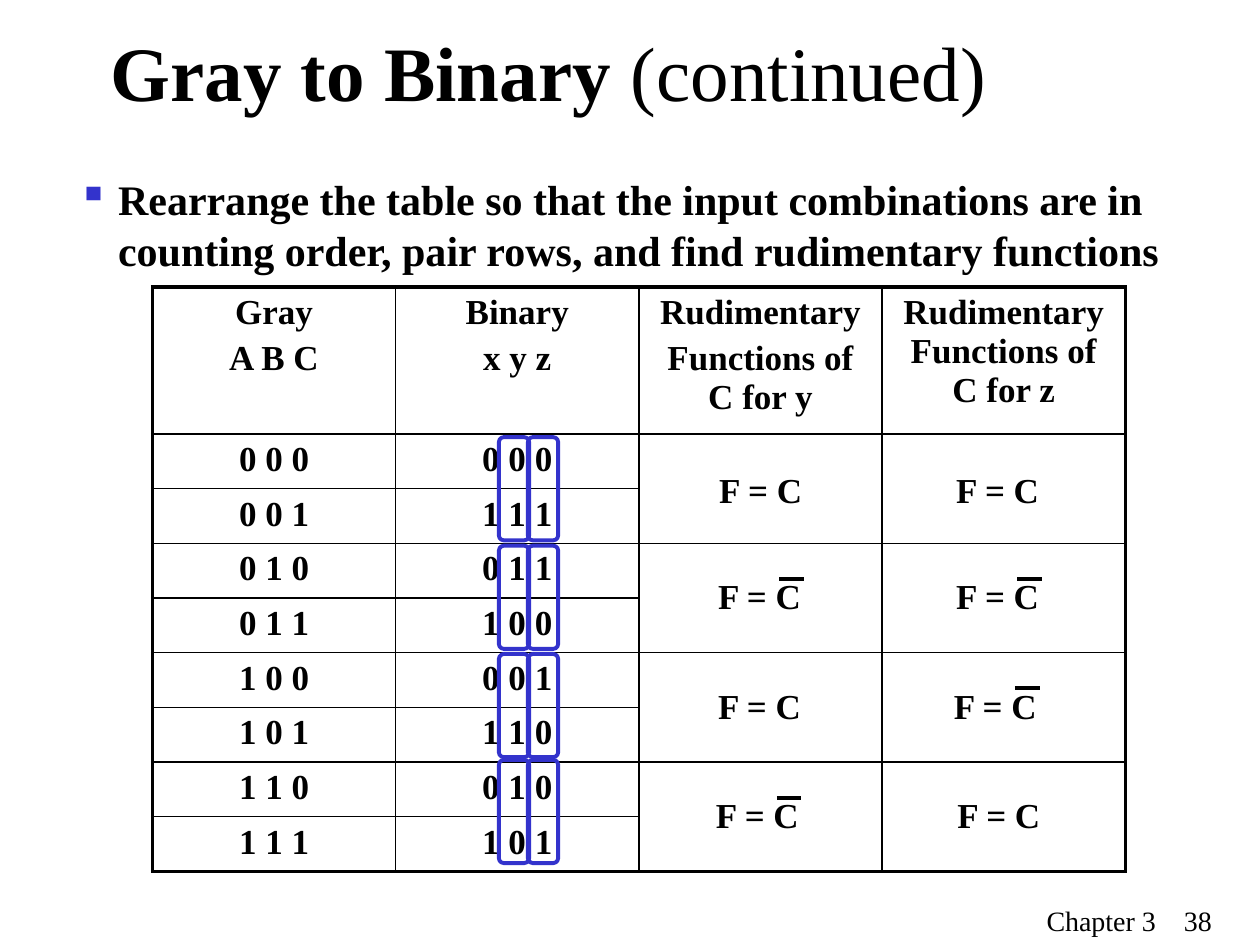
"""Build the Gray to Binary slide with its paired truth table and rudimentary functions."""
from dataclasses import dataclass

from lxml import etree
from pptx import Presentation
from pptx import util as u
from pptx.dml.color import RGBColor
from pptx.enum import shapes, text
from pptx.oxml import ns

COLORS = {"ink": "000000", "accent": "3333CC"}
FONT = "Times New Roman"
THICK, THIN = 2.25, 1
TABLE_LEFT, TABLE_TOP, COLUMN_WIDTH = 87.1, 164, 139
HEADER_HEIGHT, ROW_HEIGHT = 84, 31.23
PAIR_TOPS = (249.8, 311.8, 373.7, 434.2)
FRAME_LEFTS = {"y": 285.1, "z": 301.7}
FRAME_WIDTH, FRAME_HEIGHT = 17.3, 59

HEADERS = (
    ("Gray", "A B C"),
    ("Binary", "x y z"),
    ("Rudimentary", "Functions of C for y"),
    ("Rudimentary Functions of C for z",),
)
BINARY = ("0 0 0", "1 1 1", "0 1 1", "1 0 0", "0 0 1", "1 1 0", "0 1 0", "1 0 1")


@dataclass(frozen=True)
class PairFunction:
    """A framed pair of output bits and the function of C that it gives."""

    output: str
    pair: int
    left: float
    top: float
    inverted: bool = False


FUNCTIONS = (
    PairFunction("y", 0, 403.9, 264.2),
    PairFunction("y", 1, 403.2, 324.9, inverted=True),
    PairFunction("z", 0, 539.3, 264.2),
    PairFunction("z", 1, 539.3, 324.9, inverted=True),
    PairFunction("y", 2, 403.2, 387.4),
    PairFunction("z", 3, 540, 450),
    PairFunction("y", 3, 402, 450, inverted=True),
    PairFunction("z", 2, 538, 387.4, inverted=True),
)


def color(name: str) -> RGBColor:
    """Return a named colour."""
    return RGBColor.from_string(COLORS[name])


def add_span(para, content: str, *, size: float = 20, bold: bool = True) -> None:
    """Append a formatted run to a paragraph."""
    span = para.add_run()
    span.text = content
    span.font.name = FONT
    span.font.size = u.Pt(size)
    span.font.bold = bold
    span.font.color.rgb = color("ink")


def add_text(parent, content: str, *, left: float, top: float, width: float,
             height: float, size: float = 20, bold: bool = True,
             anchor=text.MSO_ANCHOR.TOP):
    """Add a wrapping text box and return its paragraph."""
    box = parent.add_textbox(u.Pt(left), u.Pt(top), u.Pt(width), u.Pt(height))
    box.text_frame.word_wrap = True
    box.text_frame.vertical_anchor = anchor
    para = box.text_frame.paragraphs[0]
    add_span(para, content, size=size, bold=bold)
    return para


def add_bullet(para, symbol: str, indent: float) -> None:
    """Give a paragraph a coloured bullet and a hanging indent."""
    props = para._p.get_or_add_pPr()
    props.set("marL", str(u.Pt(indent)))
    props.set("indent", str(-u.Pt(indent)))
    tint = etree.SubElement(props, ns.qn("a:buClr"))
    etree.SubElement(tint, ns.qn("a:srgbClr"), val=COLORS["accent"])
    etree.SubElement(props, ns.qn("a:buChar"), char=symbol)


def set_borders(cell, **widths: float) -> None:
    """Set the cell borders, given in the order L, R, T, B."""
    props = cell._tc.get_or_add_tcPr()
    for index, (side, width) in enumerate(widths.items()):
        line = etree.Element(ns.qn(f"a:ln{side}"), w=str(u.Pt(width)))
        fill = etree.SubElement(line, ns.qn("a:solidFill"))
        etree.SubElement(fill, ns.qn("a:srgbClr"), val=COLORS["ink"])
        props.insert(index, line)


def fill_cell(cell, lines: tuple[str, ...]) -> None:
    """Write centred paragraphs into a cell."""
    for index, content in enumerate(lines):
        frame = cell.text_frame
        para = frame.add_paragraph() if index else frame.paragraphs[0]
        para.alignment = text.PP_ALIGN.CENTER
        para.space_before = u.Pt(4 if index else 0)
        add_span(para, content)


def add_truth_table(page) -> None:
    """Add the table with counting-order inputs and merged function cells."""
    last_row, last_column = len(BINARY), len(HEADERS) - 1
    table = page.shapes.add_table(
        last_row + 1, last_column + 1, u.Pt(TABLE_LEFT), u.Pt(TABLE_TOP),
        u.Pt(COLUMN_WIDTH * len(HEADERS)),
        u.Pt(HEADER_HEIGHT + ROW_HEIGHT * last_row)).table
    table.first_row = table.horz_banding = False
    for column in table.columns:
        column.width = u.Pt(COLUMN_WIDTH)
    for index, row in enumerate(table.rows):
        row.height = u.Pt(ROW_HEIGHT if index else HEADER_HEIGHT)
        for position, cell in enumerate(row.cells):
            cell.fill.background()
            merged = index > 0 and position > 1
            ends_table = index == last_row or (merged and index == last_row - 1)
            set_borders(cell,
                        L=THIN if position else THICK,
                        R=THICK if position == last_column else THIN,
                        T=THIN if index else THICK,
                        B=THICK if ends_table else THIN)
    for position, lines in enumerate(HEADERS):
        fill_cell(table.cell(0, position), lines)
    for number, bits in enumerate(BINARY):
        fill_cell(table.cell(number + 1, 0), (" ".join(f"{number:03b}"),))
        fill_cell(table.cell(number + 1, 1), (bits,))
    for top in range(1, last_row, 2):
        for position in (2, 3):
            table.cell(top, position).merge(table.cell(top + 1, position))


def add_pair_function(page, item: PairFunction) -> None:
    """Group the bit frame, its function label and any inversion bar."""
    group = page.shapes.add_group_shape().shapes
    frame = group.add_shape(
        shapes.MSO_SHAPE.ROUNDED_RECTANGLE, u.Pt(FRAME_LEFTS[item.output]),
        u.Pt(PAIR_TOPS[item.pair]), u.Pt(FRAME_WIDTH), u.Pt(FRAME_HEIGHT))
    frame.shadow.inherit = False
    frame.fill.background()
    frame.line.color.rgb = color("accent")
    frame.line.width = u.Pt(THICK)
    add_text(group, "F = C", left=item.left, top=item.top, width=65, height=31)
    if item.inverted:
        start, level = item.left + 42, item.top + 6
        bar = group.add_connector(shapes.MSO_CONNECTOR.STRAIGHT, u.Pt(start),
                                  u.Pt(level), u.Pt(start + 14), u.Pt(level))
        bar.line.color.rgb = color("ink")
        bar.line.width = u.Pt(THICK)
        etree.SubElement(bar._element.spPr, ns.qn("a:effectLst"))


def main() -> None:
    """Build and save the deck."""
    deck = Presentation()
    deck.slide_width, deck.slide_height = u.Pt(720), u.Pt(540)
    page = deck.slides.add_slide(deck.slide_layouts[6])
    add_text(page.shapes, "Chapter 3\u00a0\u00a0\u00a0 38".replace("\u00a0", " "),
             left=591, top=512.6, width=128, height=27, size=16, bold=False)
    title = add_text(page.shapes, "Gray to Binary", left=56.2, top=0, width=612,
                     height=81, size=44, anchor=text.MSO_ANCHOR.MIDDLE)
    add_span(title, " (continued)", size=44, bold=False)
    body = add_text(
        page.shapes,
        "Rearrange the table so that the input combinations are in counting "
        "order, pair rows, and find rudimentary functions",
        left=37.4, top=95.8, width=646.6, height=396, size=24)
    add_bullet(body, "▪", 23)
    add_truth_table(page)
    for item in FUNCTIONS:
        add_pair_function(page, item)
    deck.save("out.pptx")


if __name__ == "__main__":
    main()
